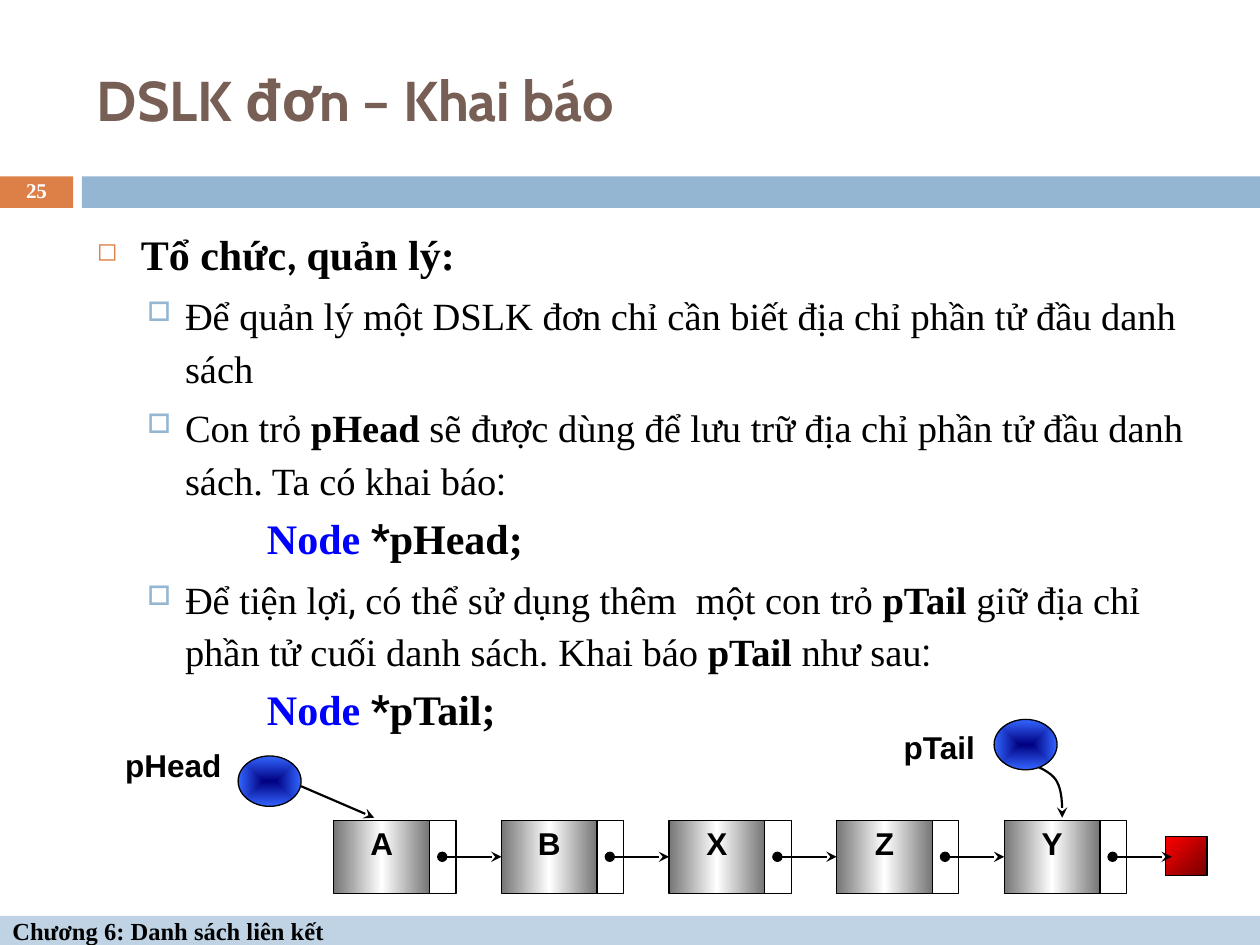
from lxml.etree import SubElement
from pptx import Presentation
from pptx.dml.color import RGBColor
from pptx.enum.shapes import MSO_CONNECTOR as Link, MSO_SHAPE as Preset
from pptx.enum.text import MSO_ANCHOR as Anchor, PP_ALIGN as Align
from pptx.oxml import parse_xml
from pptx.oxml.ns import nsdecls, qn
from pptx.util import Inches, Pt

BLACK = RGBColor(0x00, 0x00, 0x00)
WHITE = RGBColor(0xFF, 0xFF, 0xFF)
BLUE = RGBColor(0x00, 0x00, 0xFF)
ORANGE = RGBColor(0xDD, 0x80, 0x47)
SKY = RGBColor(0x94, 0xB6, 0xD2)
PALE_SKY = RGBColor(0xBF, 0xD3, 0xE4)
BROWN = RGBColor(0x77, 0x5F, 0x55)
GREY = RGBColor(0x76, 0x76, 0x76)
NAVY = RGBColor(0x00, 0x00, 0x80)
BRIGHT_BLUE = RGBColor(0x33, 0x66, 0xFF)
RED = RGBColor(0xFF, 0x00, 0x00)
DARK_RED = RGBColor(0x76, 0x00, 0x00)

SERIF, SANS, TITLE, PLAIN, MARK = "Times New Roman", "Arial", "Cabin", "Calibri", "Roboto"
CENTRED = '<a:path path="rect"><a:fillToRect l="50000" t="50000" r="50000" b="50000"/></a:path>'


def add_span(para, text, size, font=SERIF, color=BLACK, bold=False):
    span = para.add_run()
    span.text = text
    span.font.size = Pt(size)
    span.font.name = font
    span.font.color.rgb = color
    span.font.bold = bold


def set_frame(shape, insets=(0.1, 0.05, 0.1, 0.05), anchor=Anchor.TOP):
    frame = shape.text_frame
    frame.word_wrap = True
    frame.vertical_anchor = anchor
    (frame.margin_left, frame.margin_top,
     frame.margin_right, frame.margin_bottom) = map(Inches, insets)
    return frame


def add_text(page, box, **layout):
    return set_frame(page.shapes.add_textbox(*map(Inches, box)), **layout)


def add_block(page, preset, box, fill=None, outlined=False):
    shape = page.shapes.add_shape(preset, *map(Inches, box))
    shape.shadow.inherit = False
    if fill is not None:
        shape.fill.solid()
        shape.fill.fore_color.rgb = fill
    if outlined:
        shape.line.color.rgb = BLACK
        shape.line.width = Pt(0.75)
    else:
        shape.line.fill.background()
    return shape


def set_gradient(shape, colors, direction):
    last = len(colors) - 1
    stops = "".join(
        f'<a:gs pos="{100000 * i // last}"><a:srgbClr val="{color}"/></a:gs>'
        for i, color in enumerate(colors))
    shape.fill.background()
    blank = shape._element.spPr.find(qn("a:noFill"))
    blank.getparent().replace(blank, parse_xml(
        f'<a:gradFill {nsdecls("a")} rotWithShape="1">'
        f"<a:gsLst>{stops}</a:gsLst>{direction}</a:gradFill>"))


def style_arrow(arrow, dotted=False):
    arrow.line.color.rgb = BLACK
    arrow.line.width = Pt(1.25)
    line = arrow.line._get_or_add_ln()
    if dotted:
        SubElement(line, qn("a:headEnd"), type="oval")
    SubElement(line, qn("a:tailEnd"), type="stealth")


def add_arrow(page, start, end, dotted=False):
    arrow = page.shapes.add_connector(Link.STRAIGHT, *map(Inches, start + end))
    style_arrow(arrow, dotted)
    SubElement(arrow._element.spPr, qn("a:effectLst"))


def add_curve(page, beziers):
    points = []
    for a, b, c, d in beziers:
        for step in range(1, 13):
            t = step / 12
            points.append(tuple(
                Inches((1 - t) ** 3 * p + 3 * (1 - t) ** 2 * t * q
                       + 3 * (1 - t) * t ** 2 * r + t ** 3 * s)
                for p, q, r, s in zip(a, b, c, d)))
    builder = page.shapes.build_freeform(*map(Inches, beziers[0][0]))
    builder.add_line_segments(points, close=False)
    curve = builder.convert_to_shape()
    curve.shadow.inherit = False
    curve.fill.background()
    style_arrow(curve)


def add_title(page, box):
    frame = add_text(page, box, anchor=Anchor.MIDDLE)
    add_span(frame.paragraphs[0], "DSLK đơn – Khai báo", 32, TITLE, BROWN, True)


def add_band(page, box):
    left, top, width, height = box
    number_width, gap = 0.58, 0.07
    number = add_block(page, Preset.RECTANGLE, (left, top, number_width, height), ORANGE)
    bar_left = left + number_width + gap
    add_block(page, Preset.RECTANGLE, (bar_left, top, width - bar_left, height), SKY)
    para = set_frame(number, anchor=Anchor.MIDDLE).paragraphs[0]
    para.alignment = Align.CENTER
    para.line_spacing = 0.8
    add_span(para, "25", 12, color=WHITE, bold=True)


def add_footer(page, box):
    footer = add_block(page, Preset.RECTANGLE, box, PALE_SKY)
    para = set_frame(footer, anchor=Anchor.MIDDLE).paragraphs[0]
    para.alignment = Align.LEFT
    add_span(para, "Chương 6: Danh sách liên kết", 14, bold=True)


def format_para(para, margin, indent=0, bullet=None, color=None, scale=None):
    para.line_spacing = Pt(30)
    para.space_before = Pt(4)
    props = para._p.get_or_add_pPr()
    props.set("marL", str(Inches(margin)))
    props.set("indent", str(Inches(indent)))
    if bullet:
        tint = SubElement(props, qn("a:buClr"))
        SubElement(tint, qn("a:srgbClr"), val=str(color))
        SubElement(props, qn("a:buSzPct"), val=str(scale * 1000))
        SubElement(props, qn("a:buChar"), char=bullet)


def add_body(page, box):
    heading = (24, (0.35, -0.35, "◻", ORANGE, 60))
    point = (22, (0.7, -0.3, "□", SKY, 70))
    code = (24, (1.35,))
    paras = [
        (heading, [("Tổ chức", SERIF, BLACK, True), (", ", PLAIN, BLACK, True),
                   ("quản lý:", SERIF, BLACK, True)]),
        (point, [("Để quản lý một DSLK đơn chỉ cần biết địa chỉ phần tử đầu danh sách",)]),
        (point, [("Con trỏ ",), ("pHead ", SERIF, BLACK, True),
                 ("sẽ được dùng để lưu trữ địa chỉ phần tử đầu danh sách. Ta có khai báo",),
                 (":", MARK)]),
        (code, declaration("pHead;")),
        (point, [("Để tiện lợi",), (", ", MARK), ("có thể sử dụng thêm  một con trỏ ",),
                 ("pTail ", SERIF, BLACK, True), ("giữ địa chỉ phần tử cuối danh sách",),
                 (". ", MARK), ("Khai báo ",), ("pTail ", SERIF, BLACK, True),
                 ("như sau",), (":", MARK)]),
        (code, declaration("pTail;")),
    ]
    frame = add_text(page, box)
    for i, ((size, layout), spans) in enumerate(paras):
        para = frame.add_paragraph() if i else frame.paragraphs[0]
        format_para(para, *layout)
        for text, *style in spans:
            add_span(para, text, size, *style)


def declaration(name):
    return [("Node ", SERIF, BLUE, True), ("*", MARK, BLACK, True), (name, SERIF, BLACK, True)]


def add_pointer(page, name, label_box, oval_left, oval_top):
    para = add_text(page, label_box, insets=(0, 0, 0, 0)).paragraphs[0]
    para.alignment = Align.CENTER
    add_span(para, name, 18, SANS, bold=True)
    oval = add_block(page, Preset.OVAL, (oval_left, oval_top, 0.5, 0.4), outlined=True)
    set_gradient(oval, (NAVY, BRIGHT_BLUE), CENTRED)


def add_node(page, letter, box):
    left, top, width, height = box
    data_width = 0.76
    add_block(page, Preset.RECTANGLE, (left + data_width, top, width - data_width, height),
              WHITE, True)
    data = add_block(page, Preset.RECTANGLE, (left, top, data_width, height), outlined=True)
    set_gradient(data, (GREY, WHITE, GREY), '<a:lin ang="0" scaled="1"/>')
    para = set_frame(data, insets=(0, 0.03, 0, 0)).paragraphs[0]
    para.alignment = Align.CENTER
    add_span(para, letter, 18, SANS, bold=True)


def add_linked_list(page, box):
    left, top, width, height = box
    pitch, middle = 1.33, top + height / 2
    end = add_block(page, Preset.RECTANGLE, (left + width - 0.33, 6.64, 0.33, 0.31), outlined=True)
    set_gradient(end, (RED, DARK_RED), '<a:lin ang="2700000" scaled="1"/>')
    for i, letter in enumerate("ABXZY"):
        node_left = left + i * pitch
        add_node(page, letter, (node_left, top, 0.97, height))
    for i in range(5):
        node_left = left + i * pitch
        add_arrow(page, (node_left + 0.86, middle), (node_left + pitch, middle), True)
    add_pointer(page, "pHead", (0.89, 5.92, 0.97, 0.33), 1.89, 6)
    add_arrow(page, (2.39, 6.24), (2.97, 6.49))
    add_curve(page, [((8.14, 6.05), (8.23, 6.08), (8.33, 6.12), (8.38, 6.19)),
                     ((8.38, 6.19), (8.43, 6.27), (8.43, 6.38), (8.43, 6.49))])
    add_pointer(page, "pTail", (6.97, 5.78, 0.97, 0.42), 7.89, 5.71)


def main():
    deck = Presentation()
    deck.slide_width, deck.slide_height = Inches(10), Inches(7.5)
    page = deck.slides.add_slide(deck.slide_layouts[6])
    add_band(page, (0, 1.4, 10, 0.25))
    add_footer(page, (0, 7.27, 10, 0.23))
    add_title(page, (0.67, 0.25, 8.92, 1.08))
    add_body(page, (0.67, 1.75, 8.92, 4.92))
    add_linked_list(page, (2.65, 6.51, 6.93, 0.58))
    deck.save("out.pptx")


if __name__ == "__main__":
    main()
